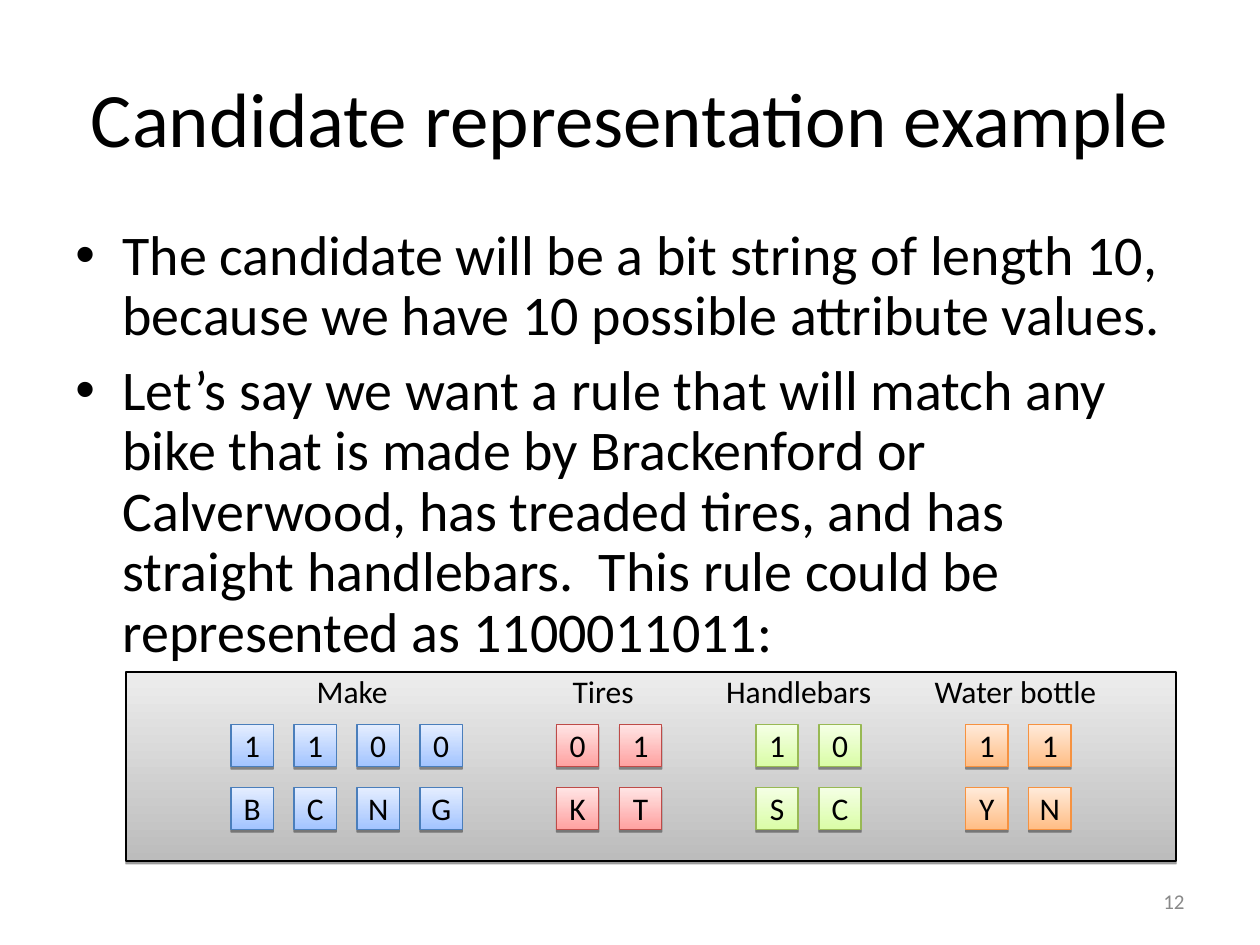
import dataclasses

import pptx
import pptx.dml.color
import pptx.enum.shapes
import pptx.enum.text
import pptx.oxml
import pptx.oxml.ns
import pptx.util
from pptx.util import Cm

ALIGN = pptx.enum.text.PP_ALIGN
ANCHOR = pptx.enum.text.MSO_ANCHOR
NAMESPACE = pptx.oxml.ns.nsdecls("a")


@dataclasses.dataclass(frozen=True)
class Theme:
    font: str = "Calibri"
    text: str = "000000"
    muted: str = "898989"
    title_size: int = 44
    body_size: int = 32
    label_size: int = 18
    number_size: int = 12
    # Each palette is bottom fill, top fill, line.
    gray: tuple = ("BCBCBC", "EDEDED", "000000")
    blue: tuple = ("A3C4FF", "E5EEFF", "4A7EBB")
    red: tuple = ("FFA2A1", "FFE5E5", "BE4B48")
    green: tuple = ("DAFDA7", "F5FFE6", "98B954")
    orange: tuple = ("FFBE86", "FFEBDB", "F69240")


THEME = Theme()

TITLE = "Candidate representation example"
BULLETS = (
    "The candidate will be a bit string of length 10, because we have 10 "
    "possible attribute values.",
    "Let’s say we want a rule that will match any bike that is made by "
    "Brackenford or Calverwood, has treaded tires, and has straight "
    "handlebars.  This rule could be represented as 1100011011:",
)
# Label, label centre (cm), first cell left (cm), bits, value initials, palette
ATTRIBUTES = (
    ("Make", 7.1, 4.66, "1100", "BCNG", THEME.blue),
    ("Tires", 12.16, 11.22, "01", "KT", THEME.red),
    ("Handlebars", 16.1, 15.24, "10", "SC", THEME.green),
    ("Water bottle", 20.47, 19.47, "11", "YN", THEME.orange),
)
PANEL_LEFT, PANEL_INSET = 2.54, 0.25
CELL_TOP, CELL_SIZE, CELL_STEP = 14.6, 0.85, 1.27


def rgb(value):
    return pptx.dml.color.RGBColor.from_string(value)


def style(para, size, align, color=THEME.text):
    para.alignment = align
    para.font.name = THEME.font
    para.font.size = pptx.util.Pt(size)
    para.font.color.rgb = rgb(color)


def add_property(para, xml):
    """Append a bullet or tab element to the paragraph properties."""
    para._p.get_or_add_pPr().append(pptx.oxml.parse_xml(xml))


def add_title(page):
    title = page.shapes.title
    title.left, title.top, title.width, title.height = Cm(1.27), Cm(0.76), Cm(22.86), Cm(3.18)
    title.text_frame.vertical_anchor = ANCHOR.MIDDLE
    para = title.text_frame.paragraphs[0]
    para.text = TITLE
    style(para, THEME.title_size, ALIGN.CENTER)


def add_bullets(page):
    frame = page.shapes.add_textbox(Cm(1.27), Cm(4.45), Cm(22.86), Cm(12.57)).text_frame
    frame.word_wrap = True
    for index, text in enumerate(BULLETS):
        para = frame.add_paragraph() if index else frame.paragraphs[0]
        para.text = text
        para.line_spacing = 0.9
        if index:
            para.space_before = pptx.util.Pt(8)
        properties = para._p.get_or_add_pPr()
        properties.set("marL", str(Cm(0.95)))
        properties.set("indent", str(-Cm(0.95)))
        add_property(para, f'<a:buFont {NAMESPACE} typeface="Arial"/>')
        add_property(para, f'<a:buChar {NAMESPACE} char="•"/>')
        style(para, THEME.body_size, ALIGN.LEFT)


def add_shaded_box(page, left, top, width, height, palette):
    """Add a rectangle with a vertical gradient and a thin drop shadow."""
    box = page.shapes.add_shape(
        pptx.enum.shapes.MSO_SHAPE.RECTANGLE, Cm(left), Cm(top), Cm(width), Cm(height))
    bottom, upper, line = palette
    box.fill.gradient()
    box.fill.gradient_angle = 90
    for stop, color in zip(box.fill.gradient_stops, (bottom, upper)):
        stop.color.rgb = rgb(color)
    box.line.color.rgb = rgb(line)
    box.line.width = pptx.util.Pt(0.75)
    box.shadow.inherit = False
    effects = box._element.spPr.find(pptx.oxml.ns.qn("a:effectLst"))
    effects.append(pptx.oxml.parse_xml(
        f'<a:outerShdw {NAMESPACE} dist="{pptx.util.Pt(1.6)}" dir="5400000" rotWithShape="0">'
        '<a:srgbClr val="000000"><a:alpha val="38000"/></a:srgbClr></a:outerShdw>'))
    return box


def add_panel(page):
    """Add the backdrop, with the attribute labels on centred tab stops."""
    panel = add_shaded_box(page, PANEL_LEFT, 13.55, 21.17, 3.81, THEME.gray)
    frame = panel.text_frame
    frame.vertical_anchor = ANCHOR.TOP
    frame.margin_left = Cm(PANEL_INSET)
    frame.margin_top = 0
    para = frame.paragraphs[0]
    para.text = "".join("\t" + attribute[0] for attribute in ATTRIBUTES)
    stops = "".join(
        f'<a:tab pos="{Cm(attribute[1] - PANEL_LEFT - PANEL_INSET)}" algn="ctr"/>'
        for attribute in ATTRIBUTES)
    add_property(para, f"<a:tabLst {NAMESPACE}>{stops}</a:tabLst>")
    style(para, THEME.label_size, ALIGN.LEFT)


def add_cell(page, left, top, text, palette):
    frame = add_shaded_box(page, left, top, CELL_SIZE, CELL_SIZE, palette).text_frame
    frame.margin_left = frame.margin_right = 0
    frame.vertical_anchor = ANCHOR.MIDDLE
    para = frame.paragraphs[0]
    para.text = text
    style(para, THEME.label_size, ALIGN.CENTER)


def add_cells(page):
    for _, _, left, bits, initials, palette in ATTRIBUTES:
        for row, symbols in enumerate((bits, initials)):
            for column, symbol in enumerate(symbols):
                add_cell(page, left + column * CELL_STEP, CELL_TOP + row * CELL_STEP,
                         symbol, palette)


def add_page_number(page):
    frame = page.shapes.add_textbox(Cm(18.2), Cm(17.65), Cm(5.93), Cm(1.02)).text_frame
    frame.word_wrap = True
    frame.vertical_anchor = ANCHOR.MIDDLE
    para = frame.paragraphs[0]
    para.text = "12"
    style(para, THEME.number_size, ALIGN.RIGHT, THEME.muted)


def main():
    deck = pptx.Presentation()
    deck.slide_width, deck.slide_height = Cm(25.4), Cm(19.05)
    page = deck.slides.add_slide(deck.slide_layouts.get_by_name("Title Only"))
    add_title(page)
    add_bullets(page)
    add_panel(page)
    add_cells(page)
    add_page_number(page)
    deck.save("out.pptx")


if __name__ == "__main__":
    main()
